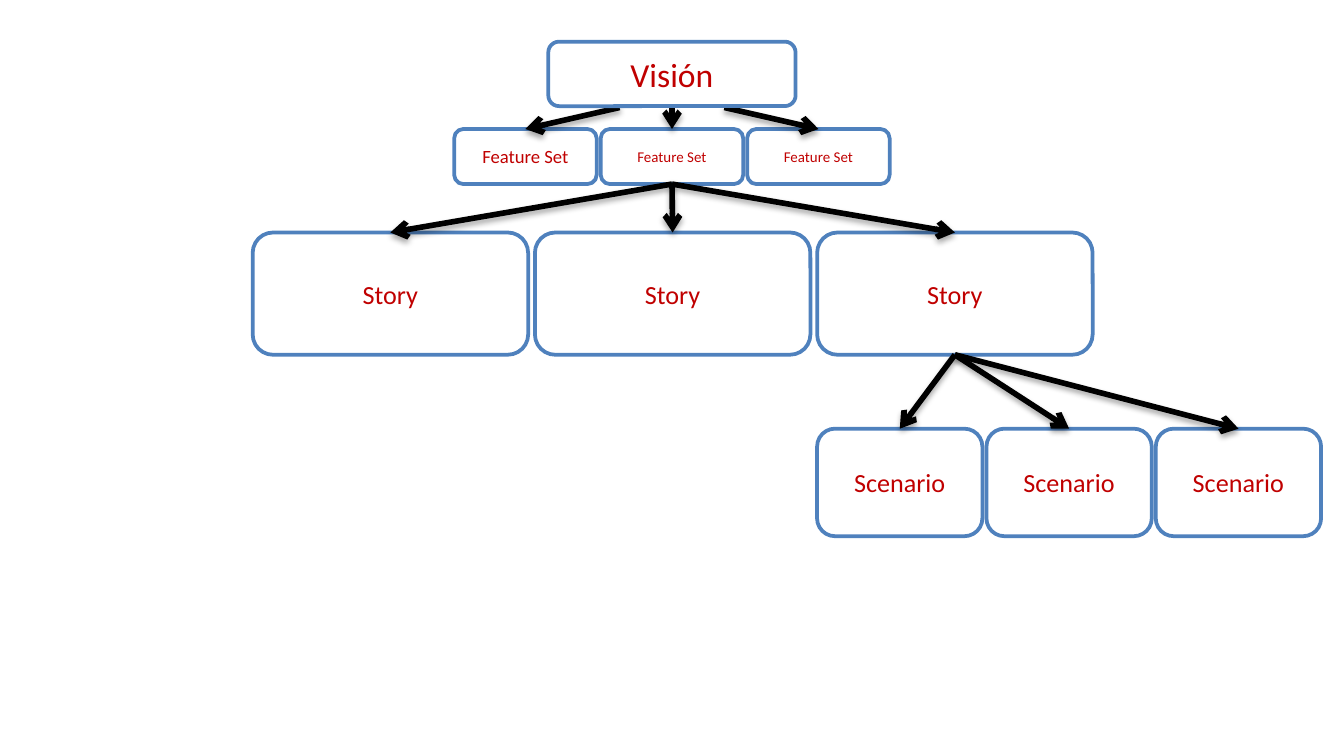
from lxml import etree
from pptx import Presentation
from pptx import util as u
from pptx.dml.color import RGBColor
from pptx.enum import shapes, text
from pptx.oxml import ns

COLORS = {"box": "FFFFFF", "border": "4F81BD", "label": "C00000", "arrow": "000000"}


def rgb(name):
    """Return the named palette colour."""
    return RGBColor.from_string(COLORS[name])


def add_text(tf, label, size=14, color="label", font="Calibri"):
    """Write one centred line of text into a text frame."""
    tf.word_wrap = True
    tf.margin_left = tf.margin_right = u.Inches(0.05)
    tf.vertical_anchor = text.MSO_ANCHOR.MIDDLE
    p = tf.paragraphs[0]
    p.alignment = text.PP_ALIGN.CENTER
    r = p.add_run()
    r.text = label
    r.font.size, r.font.name = u.Pt(size), font
    r.font.color.rgb = rgb(color)


def add_node(s, label, box, size=14):
    """Draw one rounded, outlined box with its label."""
    sp = s.shapes.add_shape(shapes.MSO_SHAPE.ROUNDED_RECTANGLE, *map(u.Inches, box))
    sp.shadow.inherit = False
    sp.fill.solid()
    sp.fill.fore_color.rgb = rgb("box")
    sp.line.color.rgb = rgb("border")
    sp.line.width = u.Pt(2)
    add_text(sp.text_frame, label, size=size)


def add_level(s, label, box, step, sizes):
    """Draw a row of equal nodes and return the top centre of each."""
    left, top, width, height = box
    tops = []
    for i, size in enumerate(sizes):
        x = left + i * step
        add_node(s, label, (x, top, width, height), size)
        tops.append((x + width / 2, top))
    return tops


def add_arrow(s, start, end):
    """Draw a thick black arrow with a soft shadow below it."""
    sp = s.shapes.add_connector(shapes.MSO_CONNECTOR.STRAIGHT, *map(u.Inches, start + end))
    sp.line.color.rgb = rgb("arrow")
    sp.line.width = u.Pt(3)
    props = sp._element.spPr
    etree.SubElement(props.find(ns.qn("a:ln")), ns.qn("a:tailEnd"), type="arrow")
    effects = etree.SubElement(props, ns.qn("a:effectLst"))
    shadow = etree.SubElement(effects, ns.qn("a:outerShdw"), blurRad=str(u.Pt(3.1)),
                              dist=str(u.Pt(1.8)), dir="5400000", rotWithShape="0")
    color = etree.SubElement(shadow, ns.qn("a:srgbClr"), val=COLORS["arrow"])
    etree.SubElement(color, ns.qn("a:alpha"), val="35000")


def add_arrows(s, starts, ends):
    """Join each start point to its end point."""
    for start, end in zip(starts, ends):
        add_arrow(s, start, end)


def add_tree(s, box):
    """Draw the hierarchy from vision down to scenarios inside a box."""
    x, y, width, _ = box
    mid = x + width / 2
    scenarios = add_level(s, "Scenario", (x + 4.2, y + 2.88, 1.23, 0.8), 1.26, [14] * 3)
    features = add_level(s, "Feature Set", (x + 1.5, y + 0.65, 1.06, 0.41), 1.09, [10, 8, 8])
    add_arrows(s, [(mid + dx, y + 0.49) for dx in (-0.39, 0, 0.39)], features)
    add_node(s, "Visión", (mid - 0.92, y, 1.84, 0.48), 18)
    stories = add_level(s, "Story", (x, y + 1.42, 2.05, 0.91), 2.1, [14] * 3)
    add_arrows(s, [(mid, y + 1.06)] * 3, stories)
    add_arrows(s, [(stories[-1][0], y + 2.33)] * 3, scenarios)


def main():
    """Build and save the slide."""
    prs = Presentation()
    prs.slide_width = u.Inches(10)
    prs.slide_height = prs.slide_width * 9 // 16
    s = prs.slides.add_slide(prs.slide_layouts[6])
    add_tree(s, (1.88, 0.31, 6.24, 3.68))
    prs.save("out.pptx")


if __name__ == "__main__":
    main()
